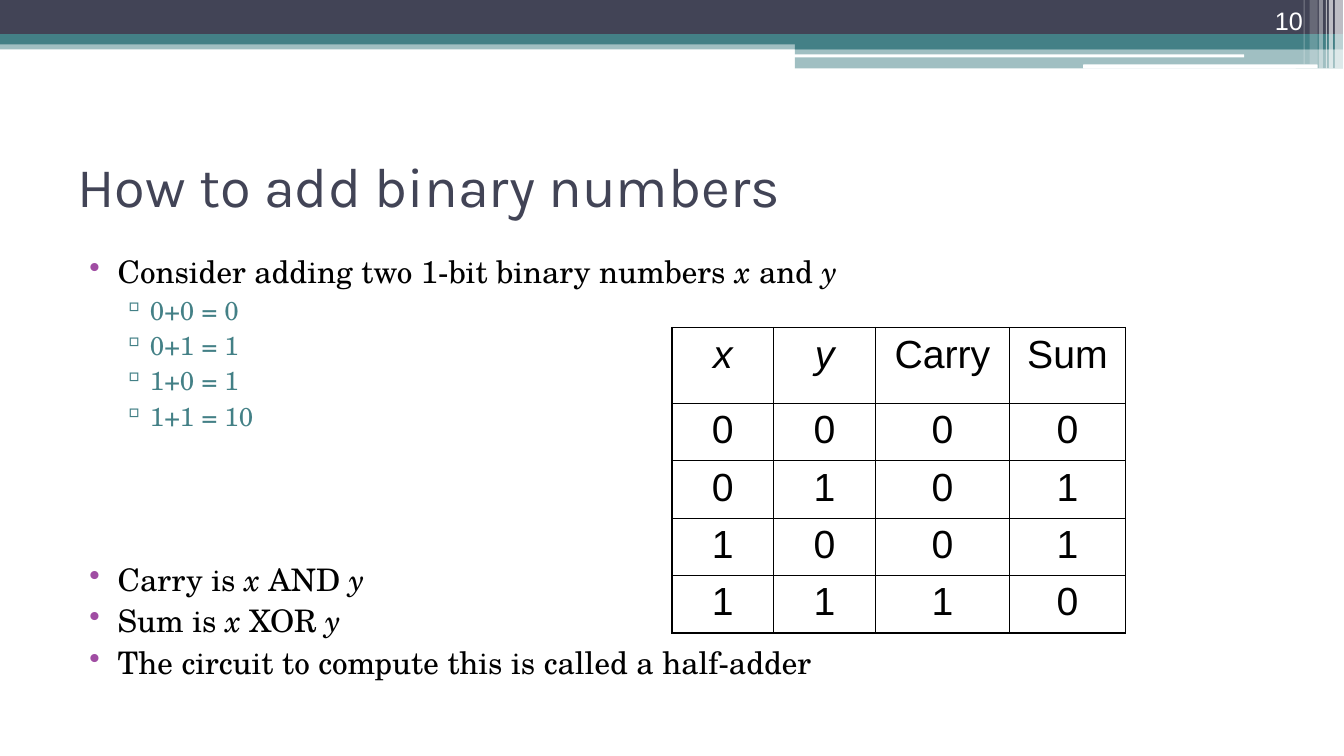
from lxml.etree import SubElement
from pptx import Presentation
from pptx.dml.color import RGBColor
from pptx.enum.shapes import MSO_SHAPE as Preset
from pptx.enum.text import MSO_ANCHOR as Anchor, PP_ALIGN as Align
from pptx.oxml import parse_xml
from pptx.oxml.ns import nsdecls, qn
from pptx.util import Emu, Pt

EMU_PER_PX = 9144
NAVY, TEAL, PURPLE = "424456", "438086", "A04DA3"
BLACK, WHITE = "000000", "FFFFFF"
SERIF, SANS, TITLE_FONT = "TeX Gyre Schola", "Arial", "Karla"


def px(length):
    return Emu(length * EMU_PER_PX)


def color(hex_string):
    return RGBColor.from_string(hex_string)


def place(shape, box):
    shape.left, shape.top, shape.width, shape.height = map(px, box)


def write(paragraph, text, font, size, fill=BLACK, align=Align.LEFT, before=0, italics=()):
    paragraph.alignment = align
    paragraph.space_before = Pt(before)
    for index, part in enumerate(text.split("|")):
        run = paragraph.add_run()
        run.text = part
        run.font.name = font
        run.font.size = Pt(size)
        run.font.bold = False
        run.font.italic = index in italics
        run.font.color.rgb = color(fill)


def add_bullet(paragraph, symbol, fill, margin, indent):
    properties = paragraph._p.get_or_add_pPr()
    properties.set("marL", str(px(margin)))
    properties.set("indent", str(px(indent)))
    bullet_color = SubElement(properties, qn("a:buClr"))
    SubElement(bullet_color, qn("a:srgbClr"), val=fill)
    SubElement(properties, qn("a:buChar"), char=symbol)


def add_block(slide, box, fill, opacity=100, preset=Preset.RECTANGLE):
    shape = slide.shapes.add_shape(preset, *map(px, box))
    shape.shadow.inherit = False
    shape.line.fill.background()
    shape.fill.solid()
    shape.fill.fore_color.rgb = color(fill)
    if opacity < 100:
        rgb = shape.fill._xPr.find(".//" + qn("a:srgbClr"))
        SubElement(rgb, qn("a:alpha"), val=str(opacity * 1000))


def add_header_band(slide, box):
    left, top, width, height = box
    right = left + width
    tab_width = 544
    tab_left = right - tab_width
    add_block(slide, (left, top + 40, width, 9), TEAL, 50)
    add_block(slide, (left, top, width, 34), NAVY)
    add_block(slide, (left, top + 34, width, 10), TEAL)
    add_block(slide, (tab_left, top + 39, tab_width, 10), TEAL)
    add_block(slide, (tab_left, top + 48, tab_width, height - 48), TEAL, 50)
    for offset, drop, length, thickness in ((545, 54, 447, 3), (258, 64, 233, 4)):
        add_block(slide, (right - offset, top + drop, length, thickness), WHITE,
                  preset=Preset.ROUNDED_RECTANGLE)
    stripes = ((8, 8, height, 65), (14, 4, height, 65), (17, 1, height, 60),
               (24, 4, height, 40), (33, 8, 64, 20), (39, 1, 64, 30))
    for offset, thickness, length, opacity in stripes:
        add_block(slide, (right - offset, top, thickness, length), WHITE, opacity)


def add_title(slide, box):
    title = slide.shapes.title
    place(title, box)
    title.text_frame.vertical_anchor = Anchor.MIDDLE
    write(title.text_frame.paragraphs[0], "How to add binary numbers",
          TITLE_FONT, 40, fill=NAVY)


def add_text_frame(slide, box, anchor=Anchor.TOP):
    frame = slide.shapes.add_textbox(*map(px, box)).text_frame
    frame.word_wrap = True
    frame.vertical_anchor = anchor
    return frame


def add_slide_number(slide, box):
    frame = add_text_frame(slide, box, Anchor.BOTTOM)
    write(frame.paragraphs[0], "10", SANS, 18, fill=WHITE, align=Align.RIGHT)


def add_explanation(slide, box):
    frame = add_text_frame(slide, box)
    lines = (
        (0, "Consider adding two 1-bit binary numbers |x| and |y", 3),
        (1, "0+0 = 0", 3),
        (1, "0+1 = 1", 3),
        (1, "1+0 = 1", 3),
        (1, "1+1 = 10", 3),
        (0, "Carry is |x| AND |y", 92),
        (0, "Sum is |x| XOR |y", 3),
        (0, "The circuit to compute this is called a half-adder", 3),
    )
    for index, (level, text, before) in enumerate(lines):
        paragraph = frame.add_paragraph() if index else frame.paragraphs[0]
        paragraph.level = level
        size, fill = ((22.2, BLACK), (18.5, TEAL))[level]
        write(paragraph, text, SERIF, size, fill=fill, before=before, italics=(1, 3))
        bullet = (("•", PURPLE, 40, -28), ("▫", TEAL, 72, -27))[level]
        add_bullet(paragraph, *bullet)


def set_borders(cell, outer_edges):
    properties = cell._tc.get_or_add_tcPr()
    for index, edge in enumerate("LRTB"):
        width = Pt(1.08 if edge in outer_edges else 0.45)
        properties.insert(index, parse_xml(
            f'<a:ln{edge} {nsdecls("a")} w="{width}"><a:solidFill>'
            f'<a:srgbClr val="{BLACK}"/></a:solidFill></a:ln{edge}>'))


def add_truth_table(slide, box):
    rows = [("x", "y", "Carry", "Sum")]
    rows += [(x, y, x & y, x ^ y) for x in (0, 1) for y in (0, 1)]
    table = slide.shapes.add_table(len(rows), len(rows[0]), *map(px, box)).table
    table.first_row = table.horz_banding = False
    for column, width in zip(table.columns, (101, 101, 133, 115)):
        column.width = px(width)
    header_height = 75
    row_height = (box[3] - header_height) // (len(rows) - 1)
    for row_index, values in enumerate(rows):
        table.rows[row_index].height = px(row_height if row_index else header_height)
        for column_index, value in enumerate(values):
            cell = table.cell(row_index, column_index)
            cell.fill.background()
            write(cell.text_frame.paragraphs[0], str(value), SANS, 28,
                  align=Align.CENTER, before=7, italics=(0,) if value in ("x", "y") else ())
            outer = {"L": column_index == 0, "R": column_index == len(values) - 1,
                     "T": row_index == 0, "B": row_index == len(rows) - 1}
            set_borders(cell, [edge for edge in outer if outer[edge]])


def main():
    presentation = Presentation()
    presentation.slide_width, presentation.slide_height = px(1334), px(750)
    slide = presentation.slides.add_slide(presentation.slide_layouts.get_by_name("Title Only"))
    add_header_band(slide, (0, 0, 1333, 68))
    add_title(slide, (67, 125, 1200, 117))
    add_explanation(slide, (67, 246, 1200, 473))
    add_slide_number(slide, (1192, 0, 111, 40))
    add_truth_table(slide, (667, 325, 450, 303))
    presentation.save("out.pptx")


if __name__ == "__main__":
    main()
